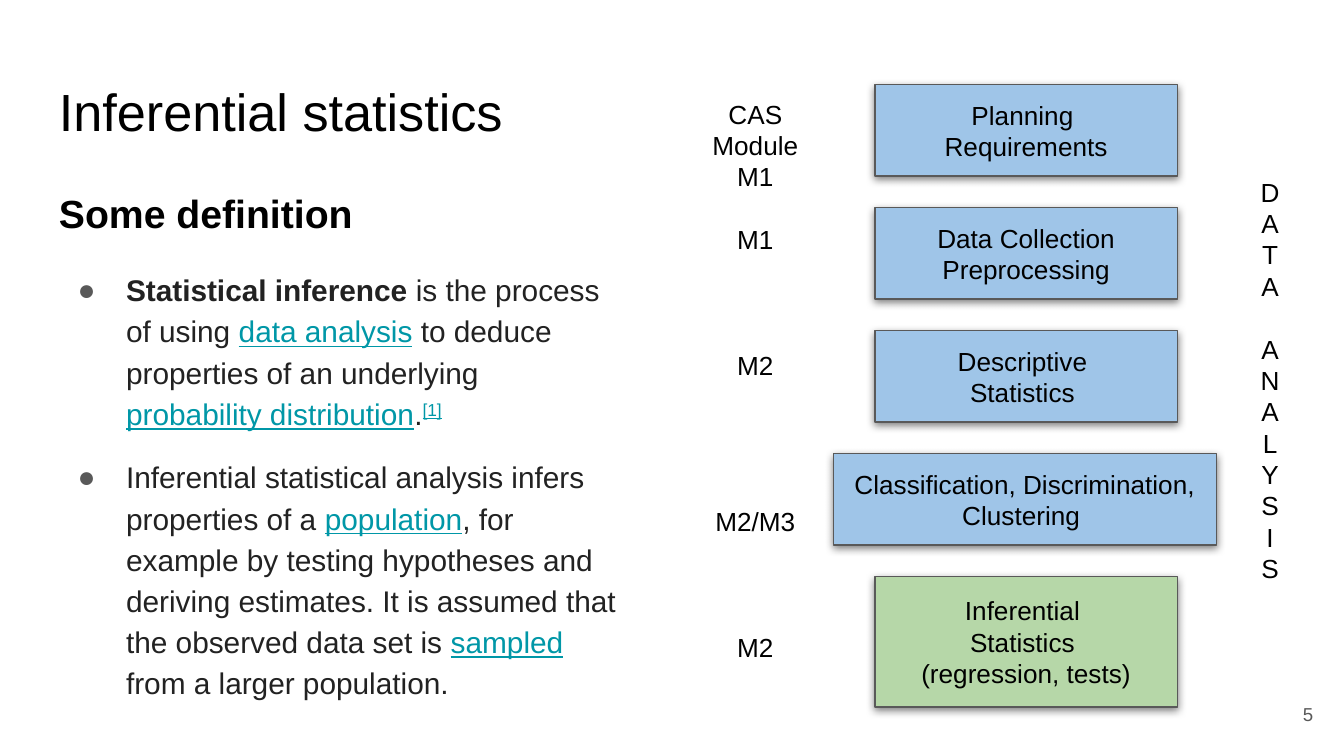
from dataclasses import dataclass

from pptx import Presentation
from pptx.dml.color import RGBColor
from pptx.enum.shapes import MSO_SHAPE
from pptx.enum.text import MSO_ANCHOR, PP_ALIGN
from pptx.oxml import parse_xml
from pptx.oxml.ns import nsdecls, qn
from pptx.util import Inches, Pt


@dataclass(frozen=True)
class Theme:
    """Colours, font and type sizes of the slide."""

    font: str = "Arial"
    black: str = "000000"
    body: str = "222222"
    grey: str = "595959"
    link: str = "0097A7"
    blue: str = "9FC5E8"
    green: str = "B6D7A8"
    title_size: int = 28
    heading_size: int = 21
    body_size: int = 16
    label_size: int = 14
    number_size: int = 10
    label_line: float = 16.8


THEME = Theme()

DEFINITIONS = [
    [
        ("Statistical inference", "bold"),
        (" is the process of using ", "plain"),
        ("data analysis", "link"),
        (" to deduce properties of an underlying ", "plain"),
        ("probability distribution", "link"),
        (".", "plain"),
        ("[1]", "reference"),
    ],
    [
        ("Inferential statistical analysis infers properties of a ", "plain"),
        ("population", "link"),
        (", for example by testing hypotheses and deriving estimates. "
         "It is assumed that the observed data set is ", "plain"),
        ("sampled", "link"),
        (" from a larger population.", "plain"),
    ],
]

STYLES = {
    "plain": {},
    "bold": {"bold": True},
    "link": {"color": THEME.link, "underline": True},
    "reference": {"color": THEME.link, "underline": True, "baseline": 30000},
}

STEPS = [
    (["Planning ", "Requirements"], 0.31, 2.25, 0.68, THEME.blue),
    (["Data Collection", "Preprocessing"], 0.31, 2.25, 0.68, THEME.blue),
    (["Descriptive ", "Statistics "], 0.31, 2.25, 0.68, THEME.blue),
    (["Classification, Discrimination, Clustering "], 0, 2.85, 0.68, THEME.blue),
    (["Inferential ", "Statistics ", "(regression, tests)"], 0.31, 2.25, 0.97, THEME.green),
]

MODULES = [("CAS", 0), ("Module M1", 0), ("M1", 1), ("M2", 3), ("M2/M3", 4), ("M2", 3)]


def add_run(paragraph, text, size=THEME.label_size, color=THEME.black,
            bold=False, underline=False, baseline=None):
    """Add formatted text to a paragraph."""
    run = paragraph.add_run()
    run.text = text
    font = run.font
    font.name, font.size = THEME.font, Pt(size)
    font.bold, font.underline = bold, underline
    font.color.rgb = RGBColor.from_string(color)
    if baseline is not None:
        run._r.get_or_add_rPr().set("baseline", str(baseline))


def prepare_frame(shape, anchor=MSO_ANCHOR.TOP):
    """Set wrapping, anchor and even margins, and return the text frame."""
    frame = shape.text_frame
    frame.word_wrap = True
    frame.vertical_anchor = anchor
    frame.margin_left = frame.margin_right = Inches(0.1)
    frame.margin_top = frame.margin_bottom = Inches(0.1)
    return frame


def add_text_box(slide, box, anchor=MSO_ANCHOR.TOP):
    """Add an empty text box and return its text frame."""
    return prepare_frame(slide.shapes.add_textbox(*map(Inches, box)), anchor)


def add_lines(frame, lines, align=PP_ALIGN.CENTER, **style):
    """Write (text, empty lines above) pairs as paragraphs."""
    for index, (text, gap) in enumerate(lines):
        paragraph = frame.add_paragraph() if index else frame.paragraphs[0]
        paragraph.alignment = align
        paragraph.space_before = Pt(gap * THEME.label_line)
        add_run(paragraph, text, **style)


def add_bullet(paragraph):
    """Give a paragraph a hanging round bullet."""
    properties = paragraph._p.get_or_add_pPr()
    properties.set("marL", str(Inches(0.5)))
    properties.set("indent", str(Inches(-0.36)))
    names = nsdecls("a")
    for element in (
        f'<a:buClr {names}><a:srgbClr val="{THEME.grey}"/></a:buClr>',
        f'<a:buSzPts {names} val="{THEME.body_size * 100}"/>',
        f'<a:buFont {names} typeface="{THEME.font}"/>',
        f'<a:buChar {names} char="●"/>',
    ):
        properties.append(parse_xml(element))


def add_soft_shadow(shape):
    """Put a soft shadow straight below a shape."""
    shape.shadow.inherit = False
    effects = shape._element.spPr.find(qn("a:effectLst"))
    effects.append(parse_xml(
        f'<a:outerShdw {nsdecls("a")} blurRad="{Pt(4.5)}" dist="{Pt(1.5)}" '
        'dir="5400000" algn="bl" rotWithShape="0"><a:srgbClr val="000000">'
        '<a:alpha val="50000"/></a:srgbClr></a:outerShdw>'))


def add_definitions(slide, box):
    """Write the heading and the bulleted definitions."""
    frame = add_text_box(slide, box)
    heading = frame.paragraphs[0]
    heading.line_spacing = 1.15
    add_run(heading, "Some definition", size=THEME.heading_size, bold=True)
    for pieces, before, after in zip(DEFINITIONS, (16, 12), (0, 12)):
        paragraph = frame.add_paragraph()
        paragraph.line_spacing = 1.15
        paragraph.space_before, paragraph.space_after = Pt(before), Pt(after)
        add_bullet(paragraph)
        for text, style in pieces:
            add_run(paragraph, text,
                    **{"size": THEME.body_size, "color": THEME.body, **STYLES[style]})


def add_steps(slide, box):
    """Stack the analysis steps, evenly pitched, in a box."""
    left, top, _, height = box
    pitch = (height - STEPS[-1][3]) / (len(STEPS) - 1)
    for index, (lines, indent, step_width, step_height, color) in enumerate(STEPS):
        shape = slide.shapes.add_shape(
            MSO_SHAPE.RECTANGLE,
            Inches(left + indent), Inches(top + index * pitch),
            Inches(step_width), Inches(step_height))
        shape.fill.solid()
        shape.fill.fore_color.rgb = RGBColor.from_string(color)
        shape.line.color.rgb = RGBColor.from_string(THEME.grey)
        shape.line.width = Pt(0.75)
        add_soft_shadow(shape)
        add_lines(prepare_frame(shape, MSO_ANCHOR.MIDDLE), [(line, 0) for line in lines])


def add_side_title(slide, box):
    """Write the words of the side title letter by letter downwards."""
    letters = [(letter, int(word_index > 0 and index == 0))
               for word_index, word in enumerate(("DATA", "ANALYSIS"))
               for index, letter in enumerate(word)]
    add_lines(add_text_box(slide, box), letters)


def main():
    """Build and save the slide."""
    presentation = Presentation()
    presentation.slide_width, presentation.slide_height = Inches(10), Inches(10 * 9 / 16)
    slide = presentation.slides.add_slide(presentation.slide_layouts[6])
    add_lines(add_text_box(slide, (0.34, 0.49, 4.94, 0.63)),
              [("Inferential statistics", 0)], PP_ALIGN.LEFT, size=THEME.title_size)
    add_definitions(slide, (0.34, 1.26, 4.37, 3.74))
    add_lines(add_text_box(slide, (9.27, 5.1, 0.6, 0.43), MSO_ANCHOR.MIDDLE),
              [("5", 0)], PP_ALIGN.RIGHT, size=THEME.number_size, color=THEME.grey)
    add_steps(slide, (6.2, 0.63, 2.85, 4.63))
    add_side_title(slide, (9.15, 1.21, 0.6, 3.2))
    add_lines(add_text_box(slide, (5.16, 0.63, 0.92, 4.63)), MODULES)
    presentation.save("out.pptx")


if __name__ == "__main__":
    main()
